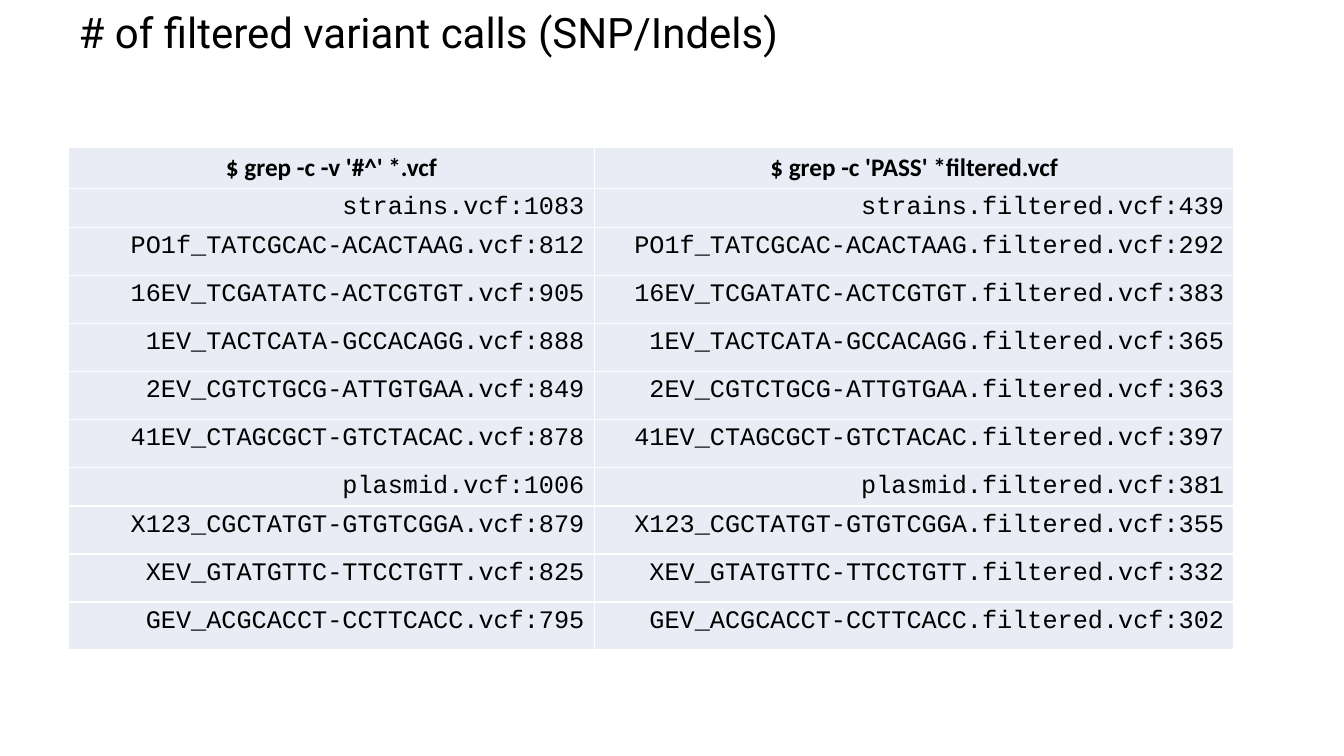
import pptx
import pptx.dml.color
import pptx.enum.text
import pptx.oxml
import pptx.oxml.ns
import pptx.util
from dataclasses import dataclass

Cm = pptx.util.Cm
ALIGN = pptx.enum.text.PP_ALIGN
ANCHOR = pptx.enum.text.MSO_ANCHOR


@dataclass(frozen=True)
class Theme:
    text: str = "000000"
    cell: str = "E9EBF5"
    rule: str = "FFFFFF"
    rule_width: float = 1
    title_font: str = "Roboto"
    header_font: str = "Calibri"
    code_font: str = "Courier New"
    title_size: float = 30
    table_size: float = 18


class SlideBuilder:
    def __init__(self, deck, theme):
        self.theme = theme
        self.slide = deck.slides.add_slide(deck.slide_layouts[5])

    def add_text(self, frame, text, align, **font_format):
        paragraph = frame.paragraphs[0]
        paragraph.alignment = align
        run = paragraph.add_run()
        run.text = text
        for attribute, value in font_format.items():
            setattr(run.font, attribute, value)
        run.font.color.rgb = pptx.dml.color.RGBColor.from_string(self.theme.text)
        return paragraph

    def title(self, text, **place):
        heading = self.slide.shapes.title
        for attribute, value in place.items():
            setattr(heading, attribute, value)
        frame = heading.text_frame
        frame.word_wrap = True
        frame.vertical_anchor = ANCHOR.TOP
        paragraph = self.add_text(frame, text, ALIGN.LEFT, name=self.theme.title_font,
                                  size=pptx.util.Pt(self.theme.title_size))
        paragraph.line_spacing = 0.9

    def borders(self, cell):
        properties = cell._tc.get_or_add_tcPr()
        width = pptx.util.Pt(self.theme.rule_width)
        for side in ("lnL", "lnR", "lnT", "lnB"):
            properties.append(pptx.oxml.parse_xml(
                f'<a:{side} {pptx.oxml.ns.nsdecls("a")} w="{width}"><a:solidFill>'
                f'<a:srgbClr val="{self.theme.rule}"/></a:solidFill></a:{side}>'))

    def table(self, rows, left, top, widths, heights):
        grid = self.slide.shapes.add_table(len(rows), len(widths), left, top,
                                           sum(widths), sum(heights)).table
        grid.horz_banding = False
        for column, width in zip(grid.columns, widths):
            column.width = width
        for r, (texts, height) in enumerate(zip(rows, heights)):
            grid.rows[r].height = height
            header = r == 0
            for c, text in enumerate(texts):
                cell = grid.cell(r, c)
                self.borders(cell)
                cell.fill.solid()
                cell.fill.fore_color.rgb = pptx.dml.color.RGBColor.from_string(self.theme.cell)
                self.add_text(cell.text_frame, text, ALIGN.CENTER if header else ALIGN.RIGHT,
                              name=self.theme.header_font if header else self.theme.code_font,
                              size=pptx.util.Pt(self.theme.table_size), bold=header)


# Variant calls per sample: all, then those that pass the filter
COMMANDS = ("$ grep -c -v '#^' *.vcf", "$ grep -c 'PASS' *filtered.vcf")
CALLS = [
    ("strains", 1083, 439),
    ("PO1f_TATCGCAC-ACACTAAG", 812, 292),
    ("16EV_TCGATATC-ACTCGTGT", 905, 383),
    ("1EV_TACTCATA-GCCACAGG", 888, 365),
    ("2EV_CGTCTGCG-ATTGTGAA", 849, 363),
    ("41EV_CTAGCGCT-GTCTACAC", 878, 397),
    ("plasmid", 1006, 381),
    ("X123_CGCTATGT-GTGTCGGA", 879, 355),
    ("XEV_GTATGTTC-TTCCTGTT", 825, 332),
    ("GEV_ACGCACCT-CCTTCACC", 795, 302),
]
GROUPS = ("strains", "plasmid")


def main():
    deck = pptx.Presentation()
    deck.slide_width, deck.slide_height = Cm(33.87), Cm(19.05)
    builder = SlideBuilder(deck, Theme())

    # Title
    builder.title("# of filtered variant calls (SNP/Indels)",
                  left=Cm(1.73), top=Cm(0.18), width=Cm(29.82), height=Cm(2.62))

    # Table of counts, with lower rows for the group totals
    rows = [COMMANDS] + [(f"{sample}.vcf:{called}", f"{sample}.filtered.vcf:{passed}")
                         for sample, called, passed in CALLS]
    heights = [Cm(0.48)] + [Cm(0.66) if sample in GROUPS else Cm(1.21)
                            for sample, _, _ in CALLS]
    builder.table(rows, Cm(1.73), Cm(3.72), [Cm(13.25), Cm(16.12)], heights)

    deck.save("out.pptx")


if __name__ == "__main__":
    main()
